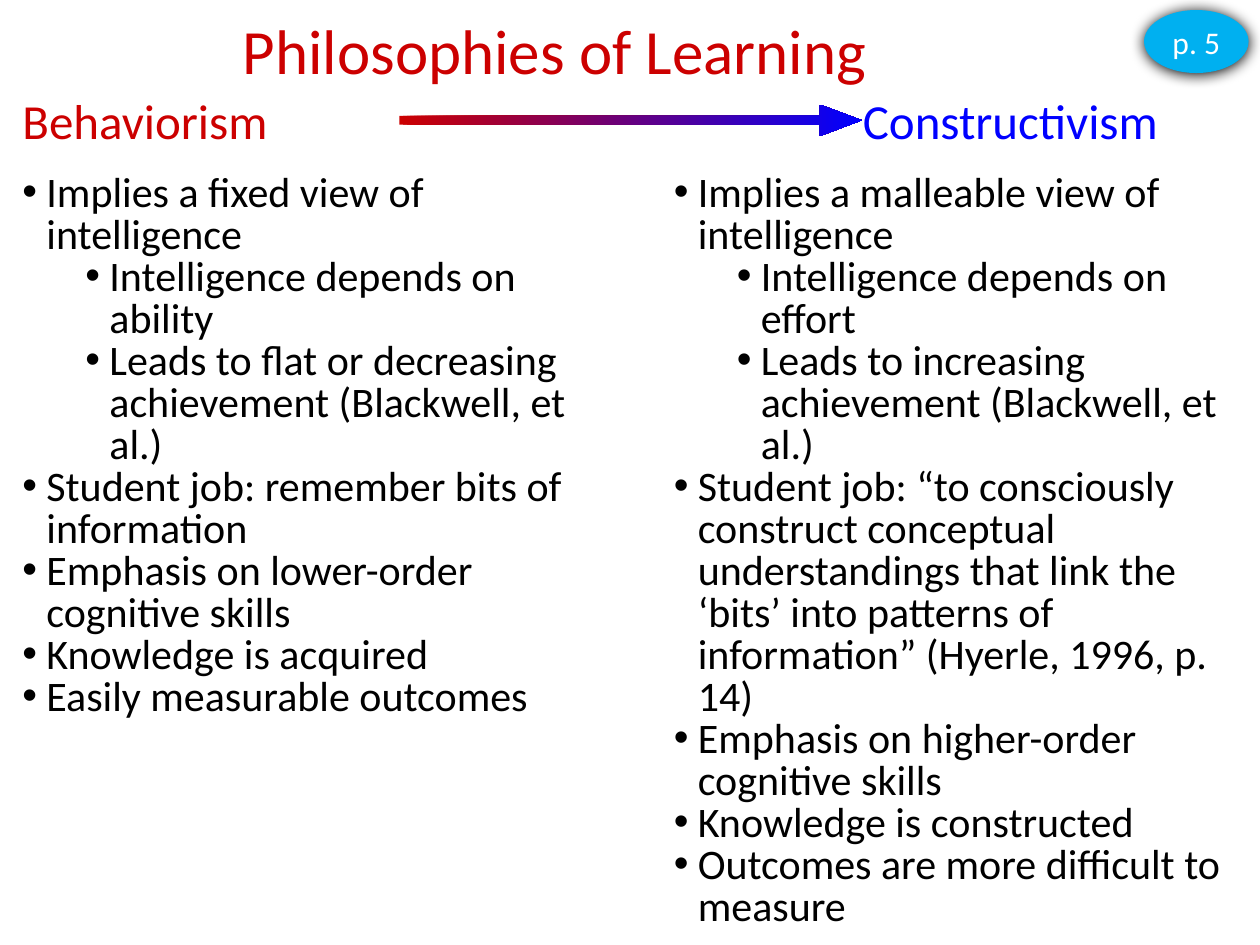
from pptx import Presentation
from pptx.dml.color import RGBColor as RGB
from pptx.enum.shapes import MSO_SHAPE as Shape
from pptx.enum.text import MSO_ANCHOR as Anchor, MSO_AUTO_SIZE as Fit, PP_ALIGN as Align
from pptx.oxml import parse_xml
from pptx.oxml.ns import nsdecls
from pptx.util import Inches, Pt

COLORS = {"red": "CC0000", "blue": "0000FF", "sky": "00B0F0", "black": "000000", "white": "FFFFFF"}


class Deck:
    """Style and current slide, with a method for each kind of element."""

    def __init__(self, font, size):
        self.font = font
        self.prs = Presentation()
        self.prs.slide_width, self.prs.slide_height = map(Inches, size)
        self.slide = self.prs.slides.add_slide(self.prs.slide_layouts[6])

    def color(self, name):
        return RGB.from_string(COLORS[name])

    def style(self, para, size, color):
        for run in para.runs:
            run.font.name = self.font
            run.font.size = Pt(size)
            run.font.color.rgb = self.color(color)

    def text(self, box, words, size, color):
        frame = self.slide.shapes.add_textbox(*map(Inches, box)).text_frame
        frame.word_wrap = True
        frame.auto_size = Fit.NONE
        frame.text = words
        for para in frame.paragraphs:
            self.style(para, size, color)
        return frame

    def bullets(self, box, items, size):
        frame = self.text(box, "\n".join(words for _, words in items), size, "black")
        for para, (level, _) in zip(frame.paragraphs, items):
            para.level = level
            para.line_spacing = Pt(size)
            props = para._p.get_or_add_pPr()
            props.set("marL", str(Inches(0.19 + 0.5 * level)))
            props.set("indent", str(Inches(-0.19)))
            props.append(parse_xml(f'<a:buFont {nsdecls("a")} typeface="Arial"/>'))
            props.append(parse_xml(f'<a:buChar {nsdecls("a")} char="•"/>'))

    def shape(self, kind, box):
        shape = self.slide.shapes.add_shape(kind, *map(Inches, box))
        shape.shadow.inherit = False
        shape.line.fill.background()
        return shape

    def arrow(self, box, start, end):
        shape = self.shape(Shape.RIGHT_ARROW, box)
        shape.adjustments[0] = 0.28
        shape.adjustments[1] = 1.33
        shape.fill.gradient()
        shape.fill.gradient_angle = 0
        for stop, name, place in zip(shape.fill.gradient_stops, (start, end), (0, 1)):
            stop.color.rgb = self.color(name)
            stop.position = place

    def badge(self, box, words, size, fill):
        shape = self.shape(Shape.OVAL, box)
        shape.fill.solid()
        shape.fill.fore_color.rgb = self.color(fill)
        shape._element.spPr.find("{*}effectLst").append(parse_xml(
            f'<a:outerShdw {nsdecls("a")} blurRad="{Pt(8.5)}" dist="{Pt(1)}" dir="5400000" '
            f'rotWithShape="0"><a:srgbClr val="{COLORS["black"]}"/></a:outerShdw>'))
        frame = shape.text_frame
        frame.word_wrap = False
        frame.vertical_anchor = Anchor.MIDDLE
        frame.text = words
        frame.paragraphs[0].alignment = Align.CENTER
        self.style(frame.paragraphs[0], size, "white")


SIDES = [
    (0.08, 0.08, "Behaviorism", "red", [
        (0, "Implies a fixed view of intelligence"),
        (1, "Intelligence depends on ability"),
        (1, "Leads to flat or decreasing achievement (Blackwell, et al.)"),
        (0, "Student job: remember bits of information"),
        (0, "Emphasis on lower-order cognitive skills"),
        (0, "Knowledge is acquired"),
        (0, "Easily measurable outcomes"),
    ], 4.48),
    (6.75, 5.25, "Constructivism", "blue", [
        (0, "Implies a malleable view of intelligence"),
        (1, "Intelligence depends on effort"),
        (1, "Leads to increasing achievement (Blackwell, et al.)"),
        (0, "Student job: “to consciously construct conceptual understandings that "
            "link the ‘bits’ into patterns of information” (Hyerle, 1996, p. 14)"),
        (0, "Emphasis on higher-order cognitive skills"),
        (0, "Knowledge is constructed"),
        (0, "Outcomes are more difficult to measure"),
    ], 6.16),
]

deck = Deck("Calibri", (10, 7.5))
deck.text((1.83, 0.04, 6.3, 0.62), "Philosophies of Learning", 36, "red")
deck.arrow((3.17, 0.83, 3.67, 0.25), "red", "blue")
for head, left, name, color, items, height in SIDES:
    deck.text((head, 0.67, 3.25, 0.57), name, 28, color)
    deck.bullets((left, 1.33, 4.75, height), items, 24)
deck.badge((9.08, 0.08, 0.83, 0.5), "p. 5", 18, "sky")
deck.prs.save("out.pptx")
